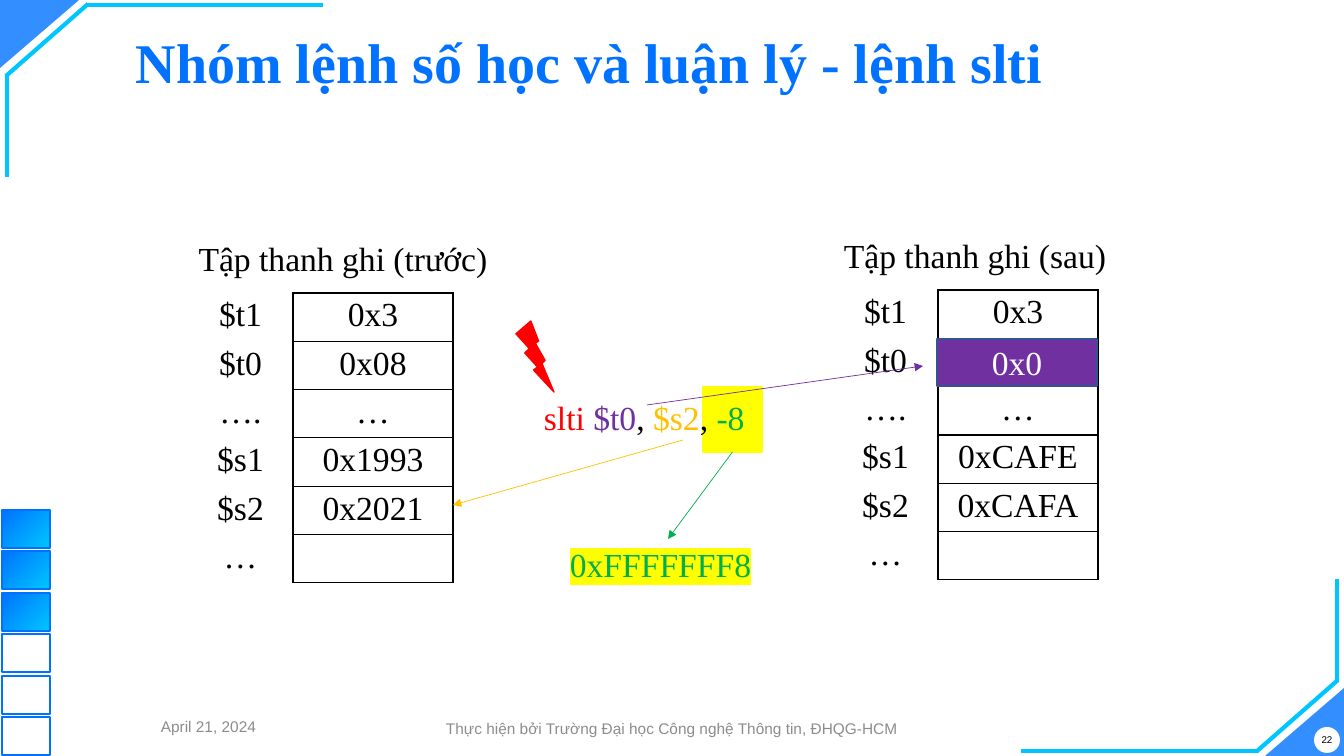
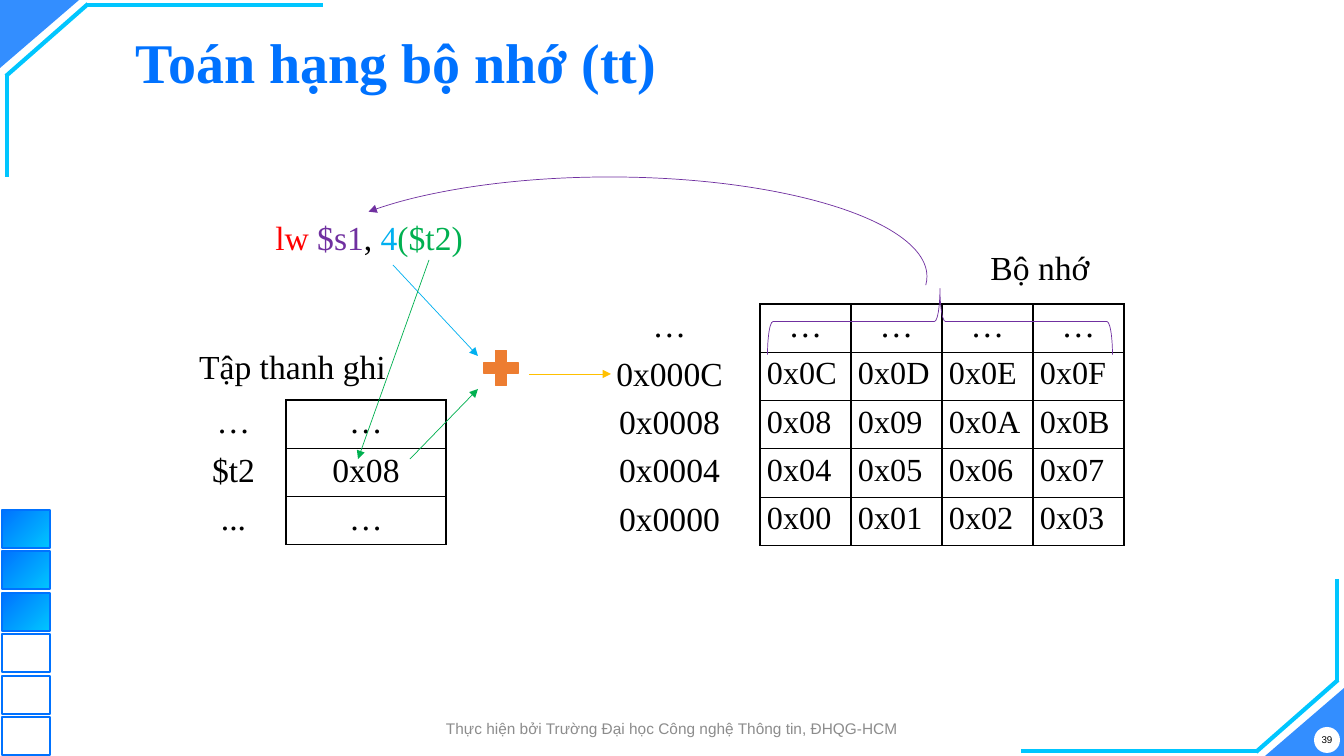
from lxml.etree import SubElement
from pptx import Presentation
from pptx.dml.color import RGBColor
from pptx.enum.shapes import MSO_CONNECTOR as Connector, MSO_SHAPE as Shape
from pptx.enum.text import MSO_ANCHOR as Anchor, PP_ALIGN as Align
from pptx.oxml.ns import qn
from pptx.util import Pt

SCALE = 914400 / 100.8
WIDTH, HEIGHT = 1344, 756
ROW = 48
REGISTER_COLUMNS = (105, 160)
MEMORY_COLUMNS = (181, 91, 91, 91, 91)
NO_GRID = "{2D5ABB26-0587-4C30-8999-92F81FD0307C}"
SERIF, SANS = "Times New Roman", "Arial"
BLUE, CYAN, GREY = "0072FF", "00C6FF", "8C8C8C"
BLACK, WHITE, RED, YELLOW = "000000", "FFFFFF", "FF0000", "FFFF00"
PURPLE, AMBER, GREEN, SKY = "7030A0", "FFC000", "00B050", "00B0F0"
ORANGE, INDIGO = "ED7D31", "325491"
FOOTER = "Thực hiện bởi Trường Đại học Công nghệ Thông tin, ĐHQG-HCM"


def px(length):
    return int(length * SCALE)


def color(code):
    return RGBColor.from_string(code)


def add_color(parent, tag, code):
    SubElement(SubElement(parent, qn(tag)), qn("a:srgbClr")).set("val", code)


class Board:
    def __init__(self):
        self.deck = Presentation()
        self.deck.slide_width, self.deck.slide_height = px(WIDTH), px(HEIGHT)
        self.page = None

    def start(self, title, number, date=None):
        self.page = self.deck.slides.add_slide(self.deck.slide_layouts[6])
        self.corner(0, 0, 180, lambda x, y: (x, y))
        self.corner(WIDTH - 79, HEIGHT - 68, 0, lambda x, y: (WIDTH - x, HEIGHT - y))
        self.progress()
        self.text(126, 16, 1159, 99, [(title, BLUE)], size=40, bold=True,
                  align=Align.LEFT, anchor=Anchor.MIDDLE, spacing=0.9)
        self.footer(402, 714, 540, FOOTER)
        if date:
            self.footer(93, 712, 231, date)
        badge = self.shape(Shape.OVAL, 1314, 727, 26, 26, fill=WHITE)
        self.fill_text(badge.text_frame, [(number, BLACK)], 7, SANS)

    def corner(self, x, y, rotation, place):
        wedge = self.shape(Shape.ISOSCELES_TRIANGLE, x, y, 79, 68, fill=BLUE,
                           adjust=(1,), rotation=rotation)
        tint = wedge.fill._xPr.find(qn("a:solidFill"))[0]
        SubElement(tint, qn("a:alpha")).set("val", "80000")
        for start, end in (((323, 5), (86, 5)), ((88, 4), (6, 76)), ((7, 177), (7, 74))):
            self.line(place(*start), place(*end), CYAN, 3)

    def progress(self):
        for step in range(6):
            square = self.shape(Shape.RECTANGLE, 2, 510 + step * 83 // 2, 48, 38, line=BLUE)
            if step < 3:
                square.fill.gradient()
                square.fill.gradient_angle = 315
                for stop, code in zip(square.fill.gradient_stops, (BLUE, CYAN)):
                    stop.color.rgb = color(code)

    def footer(self, x, y, width, text):
        self.text(x, y, width, 29, [(text, GREY)], size=11, font=SANS, anchor=Anchor.MIDDLE)

    def fill_text(self, frame, spans, size=24, font=SERIF, align=Align.CENTER, bold=False):
        para = frame.paragraphs[0]
        para.alignment = align
        para.font.size, para.font.name, para.font.bold = Pt(size), font, bold
        if len(spans) == 1:
            para.font.color.rgb = color(spans[0][1])
        for text, code in spans:
            span = para.add_run()
            span.text = text
            if len(spans) > 1:
                span.font.color.rgb = color(code)
        return para

    def text(self, x, y, width, height, spans, anchor=Anchor.TOP, spacing=None, **style):
        box = self.page.shapes.add_textbox(px(x), px(y), px(width), px(height))
        box.text_frame.word_wrap = True
        box.text_frame.vertical_anchor = anchor
        para = self.fill_text(box.text_frame, spans, **style)
        if spacing:
            para.line_spacing = spacing
        return para

    def label(self, x, y, width, text):
        self.text(x, y, width, 50, [(text, BLACK)])

    def marked(self, x, y, width, text, code, marker):
        para = self.text(x, y, width, 50, [(text, code)], align=Align.LEFT)
        add_color(para.runs[0].font._element, "a:highlight", marker)

    def shape(self, kind, x, y, width, height, fill=None, line=None, weight=1,
              adjust=(), rotation=0):
        shape = self.page.shapes.add_shape(kind, px(x), px(y), px(width), px(height))
        shape.shadow.inherit = False
        shape.rotation = rotation
        for index, value in enumerate(adjust):
            shape.adjustments[index] = value
        if fill:
            shape.fill.solid()
            shape.fill.fore_color.rgb = color(fill)
        else:
            shape.fill.background()
        if line:
            shape.line.color.rgb = color(line)
            shape.line.width = Pt(weight)
        else:
            shape.line.fill.background()
        frame = shape.text_frame
        frame.margin_left = frame.margin_right = frame.margin_top = frame.margin_bottom = 0
        frame.vertical_anchor = Anchor.MIDDLE
        return shape

    def line(self, start, end, code, weight):
        line = self.page.shapes.add_connector(
            Connector.STRAIGHT, *(px(length) for length in (*start, *end)))
        line.line.color.rgb = color(code)
        line.line.width = Pt(weight)
        SubElement(line._element.spPr, qn("a:effectLst"))
        return line

    def tip(self, shape, end):
        SubElement(shape.line._get_or_add_ln(), qn(end)).set("type", "triangle")

    def arrow(self, start, end, code):
        arrow = self.line(start, end, code, 0.5)
        self.tip(arrow, "a:tailEnd")
        return arrow

    def table(self, x, y, widths, rows, value_size=24, value_align=Align.CENTER):
        table = self.page.shapes.add_table(
            len(rows), len(widths), px(x), px(y), px(sum(widths)), px(ROW * len(rows))).table
        table.first_row = table.horz_banding = False
        table._tbl.tblPr.find(qn("a:tableStyleId")).text = NO_GRID
        for column, width in zip(table.columns, widths):
            column.width = px(width)
        for index, row in enumerate(rows):
            table.rows[index].height = px(ROW)
            for place, text in enumerate(row):
                plain = place == 0 or text == "…"
                cell = table.cell(index, place)
                cell.margin_left = cell.margin_right = px(7)
                cell.margin_top = cell.margin_bottom = px(4)
                self.border(cell, "LRTB" if place else "R")
                cell.fill.background()
                if text:
                    self.fill_text(cell.text_frame, [(text, BLACK)],
                                   24 if plain else value_size,
                                   align=Align.CENTER if plain else value_align)

    def border(self, cell, sides):
        for side in sides:
            edge = SubElement(cell._tc.get_or_add_tcPr(), qn(f"a:ln{side}"))
            edge.set("w", str(int(Pt(1))))
            add_color(edge, "a:solidFill", BLACK)


def slti_slide(board):
    board.start("Nhóm lệnh số học và luận lý - lệnh slti", "22", "April 21, 2024")
    operand = board.shape(Shape.RECTANGLE, 703, 387, 59, 65, fill=YELLOW, line=YELLOW)
    names = ("$t1", "$t0", "….", "$s1", "$s2", "…")
    before = ("0x3", "0x08", "…", "0x1993", "0x2021", "")
    after = ("0x3", "", "…", "0xCAFE", "0xCAFA", "")
    board.table(188, 293, REGISTER_COLUMNS, list(zip(names, before)))
    board.label(188, 233, 310, "Tập thanh ghi (trước)")
    board.text(534, 392, 252, 50, [("slti ", RED), ("$t0", PURPLE), (", ", BLACK),
                                   ("$s2", AMBER), (", ", BLACK), ("-8", GREEN)],
               align=Align.LEFT)
    board.table(833, 290, REGISTER_COLUMNS, list(zip(names, after)))
    board.label(820, 230, 310, "Tập thanh ghi (sau)")
    board.arrow((683, 440), (453, 505), AMBER)
    board.shape(Shape.LIGHTNING_BOLT, 516, 321, 38, 71, fill=RED, line=RED)
    board.arrow((647, 405), (923, 366), PURPLE)
    result = board.shape(Shape.RECTANGLE, 937, 339, 160, 47, fill=PURPLE, line=INDIGO)
    board.fill_text(result.text_frame, [("0x0", WHITE)])
    board.marked(560, 539, 217, "0xFFFFFFF8", GREEN, YELLOW)
    board.arrow((732, 452), (668, 539), GREEN).begin_connect(operand, 2)


def memory_slide(board):
    board.start("Toán hạng bộ nhớ (tt)", "39")
    board.text(256, 212, 226, 50, [("lw ", RED), ("$s1", PURPLE), (", ", BLACK),
                                   ("4", SKY), ("($t2)", GREEN)])
    memory = [["…"] * 5]
    for base in (12, 8, 4, 0):
        memory.append([f"0x{base:04X}"] + [f"0x{base + byte:02X}" for byte in range(4)])
    board.table(579, 304, MEMORY_COLUMNS, memory, value_size=23, value_align=Align.LEFT)
    board.table(181, 400, REGISTER_COLUMNS, [("…", "…"), ("$t2", "0x08"), ("...", "…")])
    board.shape(Shape.MATH_PLUS, 478, 344, 46, 48, fill=ORANGE, line=ORANGE)
    board.arrow((393, 265), (478, 356), SKY)
    board.arrow((429, 260), (358, 459), GREEN)
    board.arrow((410, 459), (478, 389), GREEN)
    board.label(181, 341, 223, "Tập thanh ghi")
    board.arrow((529, 374), (611, 374), AMBER)
    board.label(954, 242, 172, "Bộ nhớ")
    board.shape(Shape.RIGHT_BRACE, 907, 149, 66, 345, line=PURPLE, weight=0.5, rotation=270)
    load = board.shape(Shape.ARC, 292, 177, 635, 199, line=PURPLE, weight=0.5,
                       adjust=(117.03, 0.94))
    board.tip(load, "a:headEnd")


def main():
    board = Board()
    slti_slide(board)
    memory_slide(board)
    board.deck.save("out.pptx")


if __name__ == "__main__":
    main()
